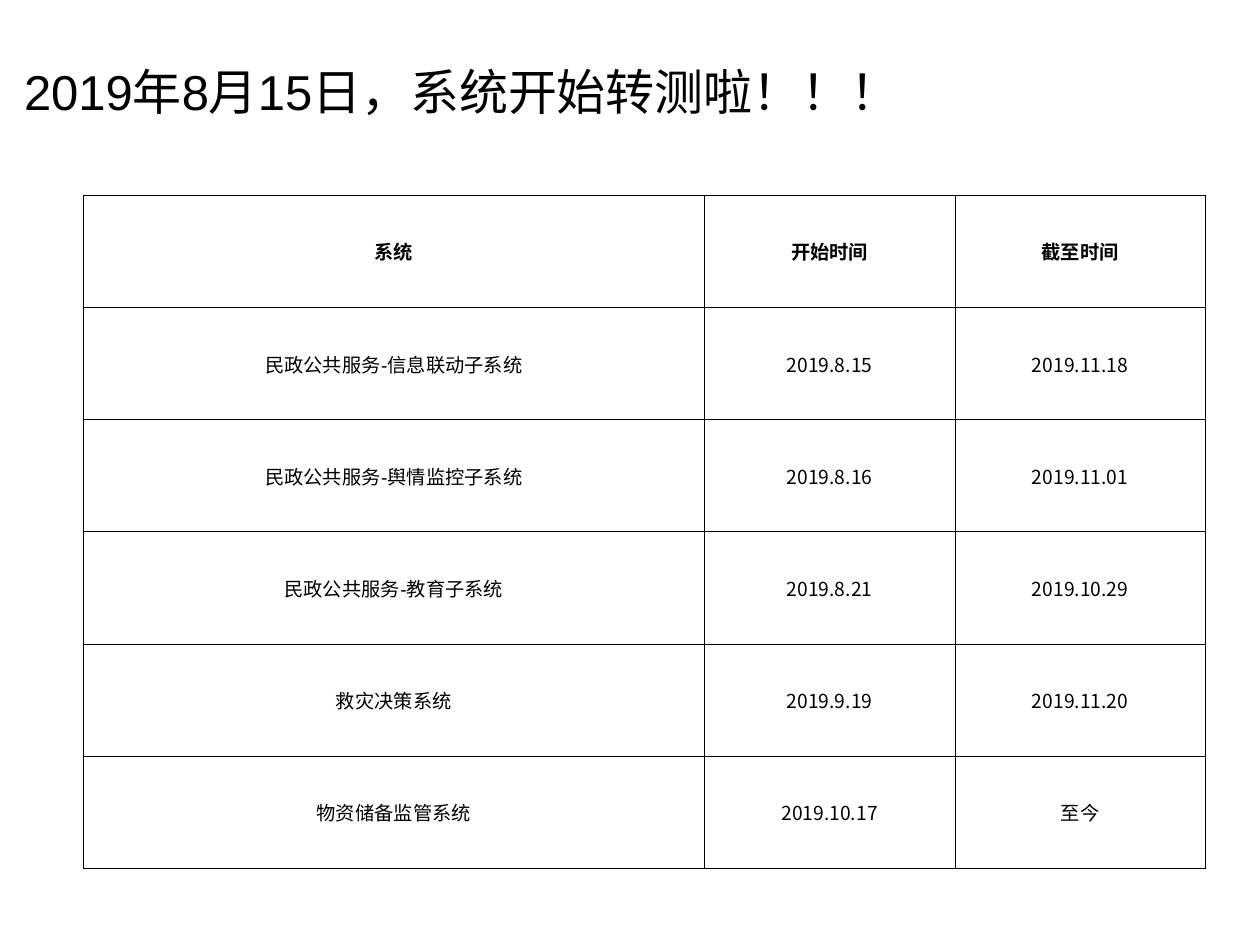
from lxml.etree import SubElement
from pptx import Presentation
from pptx.dml.color import RGBColor
from pptx.enum.text import MSO_ANCHOR as Anchor, PP_ALIGN as Align
from pptx.oxml.ns import qn
from pptx.util import Cm, Pt

TITLE = "2019年8月15日，系统开始转测啦！！！"
SCHEDULE = [
    ("系统", "开始时间", "截至时间"),
    ("民政公共服务-信息联动子系统", "2019.8.15", "2019.11.18"),
    ("民政公共服务-舆情监控子系统", "2019.8.16", "2019.11.01"),
    ("民政公共服务-教育子系统", "2019.8.21", "2019.10.29"),
    ("救灾决策系统", "2019.9.19", "2019.11.20"),
    ("物资储备监管系统", "2019.10.17", "至今"),
]
COLORS = {"text": "000000", "border": "000000"}
LATIN_FONT, CHINESE_FONT = "Arial", "Noto Sans CJK SC"
COLUMN_WIDTHS = (12.52, 5.05, 5.05)
ROW_HEIGHT = 2.26
CELL_FORMAT = {
    "margin_left": Cm(0.03), "margin_right": Cm(0.03),
    "margin_top": Cm(0.13), "margin_bottom": Cm(0.13),
    "vertical_anchor": Anchor.MIDDLE,
}


def set_attributes(target, values):
    for name, value in values.items():
        setattr(target, name, value)


def write_text(text_frame, text, alignment, **font_format):
    paragraph = text_frame.paragraphs[0]
    paragraph.alignment = alignment
    run = paragraph.add_run()
    run.text = text
    set_attributes(run.font, font_format)
    run.font.color.rgb = RGBColor.from_string(COLORS["text"])
    SubElement(run.font._element, qn("a:ea"), typeface=CHINESE_FONT)


def draw_borders(cell):
    properties = cell._tc.get_or_add_tcPr()
    for side in ("lnL", "lnR", "lnT", "lnB"):
        line = SubElement(properties, qn(f"a:{side}"), w=str(Pt(0.23)))
        fill = SubElement(line, qn("a:solidFill"))
        SubElement(fill, qn("a:srgbClr"), val=COLORS["border"])


def add_title(slide):
    title = slide.shapes.title
    set_attributes(title, {"left": Cm(0.23), "top": Cm(0.58),
                           "width": Cm(22.86), "height": Cm(2.51)})
    set_attributes(title.text_frame, {"word_wrap": True, "vertical_anchor": Anchor.MIDDLE})
    write_text(title.text_frame, TITLE, Align.LEFT,
               size=Pt(28), name=LATIN_FONT, bold=False)


def add_schedule(slide):
    table = slide.shapes.add_table(
        len(SCHEDULE), len(COLUMN_WIDTHS), Cm(1.68), Cm(3.94),
        Cm(sum(COLUMN_WIDTHS)), Cm(ROW_HEIGHT * len(SCHEDULE))).table
    table.horz_banding = False
    for column, width in zip(table.columns, COLUMN_WIDTHS):
        column.width = Cm(width)
    for row_index, (row, texts) in enumerate(zip(table.rows, SCHEDULE)):
        row.height = Cm(ROW_HEIGHT)
        for cell, text in zip(row.cells, texts):
            set_attributes(cell, CELL_FORMAT)
            draw_borders(cell)
            cell.fill.background()
            font_name = CHINESE_FONT if text.startswith("2019") else LATIN_FONT
            write_text(cell.text_frame, text, Align.CENTER,
                       size=Pt(11), name=font_name, bold=row_index == 0)


def main():
    presentation = Presentation()
    set_attributes(presentation, {"slide_width": Cm(25.4), "slide_height": Cm(19.05)})
    slide = presentation.slides.add_slide(presentation.slide_layouts.get_by_name("Title Only"))
    add_title(slide)
    add_schedule(slide)
    presentation.save("out.pptx")


if __name__ == "__main__":
    main()
